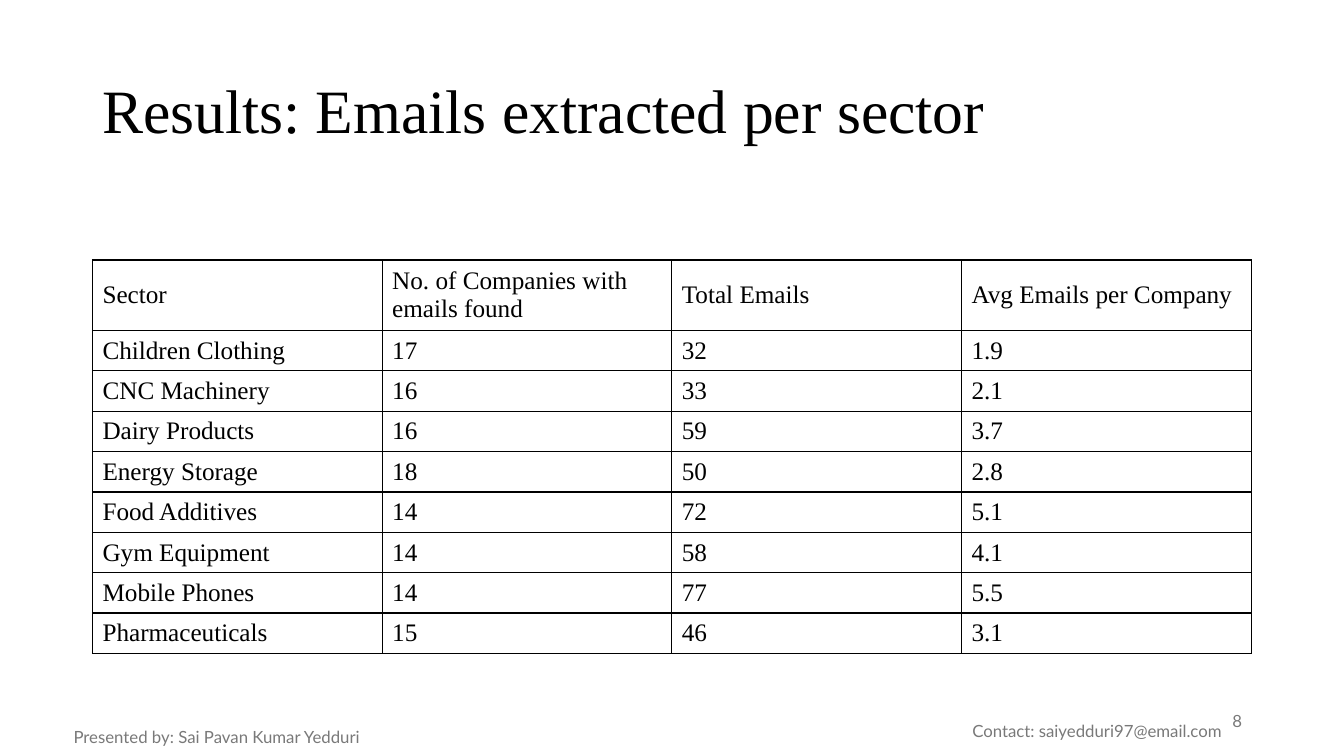
from lxml.etree import SubElement
from pptx import Presentation
from pptx.dml.color import RGBColor
from pptx.enum.text import MSO_ANCHOR, PP_ALIGN
from pptx.oxml.ns import qn
from pptx.util import Cm, Pt

COLORS = {"ink": "000000", "muted": "797979", "paper": "FFFFFF"}

SECTORS = [
    ("Sector", "No. of Companies with emails found", "Total Emails", "Avg Emails per Company"),
    ("Children Clothing", "17", "32", "1.9"),
    ("CNC Machinery", "16", "33", "2.1"),
    ("Dairy Products", "16", "59", "3.7"),
    ("Energy Storage", "18", "50", "2.8"),
    ("Food Additives", "14", "72", "5.1"),
    ("Gym Equipment", "14", "58", "4.1"),
    ("Mobile Phones", "14", "77", "5.5"),
    ("Pharmaceuticals", "15", "46", "3.1"),
]


class Deck:
    """Holds the style and the current slide, and draws its elements."""

    body_font = "Times New Roman"
    footer_font = "Lato"

    def __init__(self):
        self.prs = Presentation()
        self.prs.slide_width, self.prs.slide_height = Cm(33.87), Cm(19.05)
        self.slide = self.prs.slides.add_slide(self.prs.slide_layouts[6])

    def format(self, p, size, font, color):
        for r in p.runs:
            r.font.size = Pt(size)
            r.font.name = font
            r.font.color.rgb = RGBColor.from_string(COLORS[color])

    def text(self, text, box, size, font, color, align=PP_ALIGN.LEFT, spacing=1.0):
        tf = self.slide.shapes.add_textbox(*map(Cm, box)).text_frame
        tf.word_wrap = True
        tf.vertical_anchor = MSO_ANCHOR.MIDDLE
        tf.text = text
        p = tf.paragraphs[0]
        p.alignment = align
        p.line_spacing = spacing
        self.format(p, size, font, color)

    def title(self, text, box):
        self.text(text, box, 44, self.body_font, "ink", spacing=0.9)

    def footer(self, text, box, align=PP_ALIGN.CENTER):
        self.text(text, box, 12, self.footer_font, "muted", align)

    def borders(self, cell):
        tc_pr = cell._tc.get_or_add_tcPr()
        for i, side in enumerate(("lnL", "lnR", "lnT", "lnB")):
            ln = SubElement(tc_pr, qn(f"a:{side}"), w=str(Pt(1)))
            fill = SubElement(ln, qn("a:solidFill"))
            SubElement(fill, qn("a:srgbClr"), val=COLORS["ink"])
            tc_pr.insert(i, ln)

    def table(self, rows, left, top, col_width, header_height, row_height):
        n_cols = len(rows[0])
        height = header_height + row_height * (len(rows) - 1)
        box = map(Cm, (left, top, col_width * n_cols, height))
        table = self.slide.shapes.add_table(len(rows), n_cols, *box).table
        table.first_row = table.horz_banding = False
        for col in table.columns:
            col.width = Cm(col_width)
        for i, values in enumerate(rows):
            table.rows[i].height = Cm(row_height if i else header_height)
            for j, value in enumerate(values):
                cell = table.cell(i, j)
                cell.text = value
                cell.vertical_anchor = MSO_ANCHOR.MIDDLE
                cell.fill.solid()
                cell.fill.fore_color.rgb = RGBColor.from_string(COLORS["paper"])
                self.format(cell.text_frame.paragraphs[0], 18, self.body_font, "ink")
                self.borders(cell)


def main():
    deck = Deck()
    deck.title("Results: Emails extracted per sector", (2.33, 1.02, 29.2, 3.68))
    deck.table(SECTORS, 2.33, 6.55, 7.3, 1.66, 0.95)
    deck.footer("8", (23.93, 17.65, 7.62, 1.02), PP_ALIGN.RIGHT)
    deck.footer("Presented by: Sai Pavan Kumar Yedduri", (-0.25, 18.06, 11.43, 1.02))
    deck.footer("Contact: saiyedduri97@email.com", (21.44, 17.78, 12.42, 1.27))
    deck.prs.save("out.pptx")


if __name__ == "__main__":
    main()
